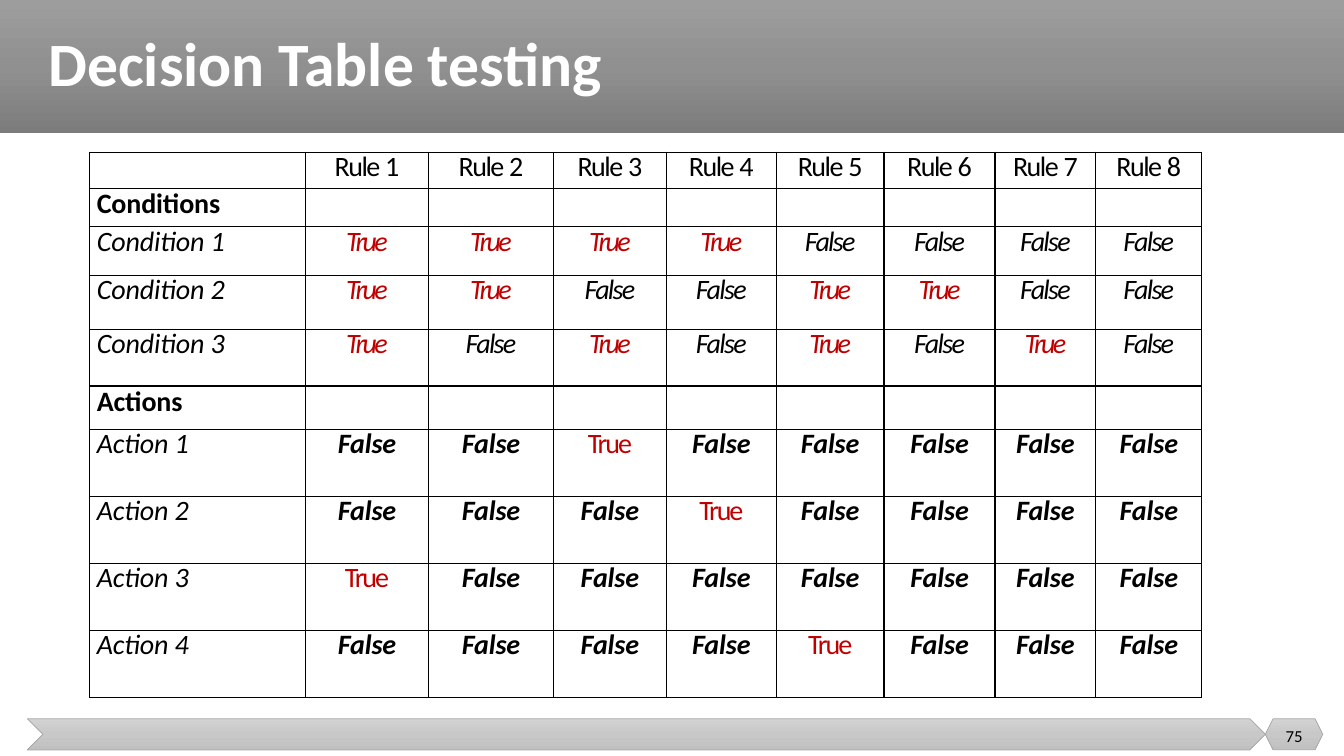
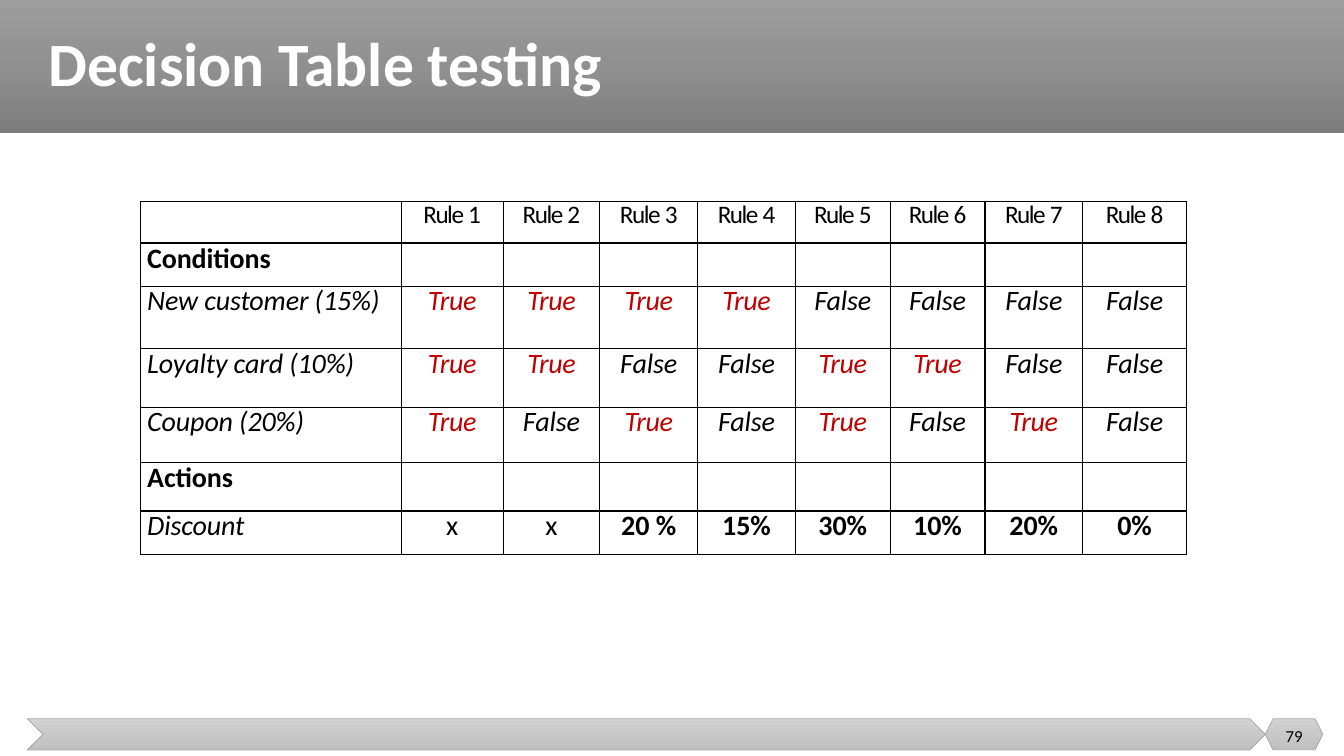
from copy import deepcopy
from itertools import product

from lxml import etree
from pptx import Presentation
from pptx.dml.color import RGBColor
from pptx.enum.shapes import MSO_SHAPE
from pptx.enum.text import MSO_ANCHOR, PP_ALIGN
from pptx.oxml.ns import qn
from pptx.util import Inches, Pt

RECTANGLE, CHEVRON, HEXAGON = MSO_SHAPE.RECTANGLE, MSO_SHAPE.CHEVRON, MSO_SHAPE.HEXAGON
LEFT, CENTER = PP_ALIGN.LEFT, PP_ALIGN.CENTER
MIDDLE = MSO_ANCHOR.MIDDLE

FONT = "Calibri"
COLORS = {"text": "000000", "title": "FFFFFF", "true": "C00000",
          "border": "000000", "footer_line": "A5A5A5"}
HEADER_GRADIENT = ("9D9D9D", "909090", "7C7C7C")
FOOTER_GRADIENT = ("D2D2D2", "C8C8C8", "C0C0C0")

# Boxes: left, top, width, height in inches
HEADER_BOX = (0, 0, 13.33, 1.32)
TITLE_BOX = (0.38, 0, 12.74, 1.32)
FOOTER_BOX = (0.27, 7.13, 12.28, 0.31)
BADGE_BOX = (12.55, 7.13, 0.57, 0.31)
NUMBER_BOX = (12.55, 7.1, 0.57, 0.4)

# Every combination of three conditions, one row per condition
CONDITION_ROWS = list(zip(*product((True, False), repeat=3)))
RULE_COUNT = len(CONDITION_ROWS[0])


def inches(box):
    return [Inches(length) for length in box]


def add_text(frame, text, size=20, color="text", bold=False, italic=False,
             align=LEFT, leading=None, spacing=0):
    """Append a run to the first paragraph of a text frame."""
    paragraph = frame.paragraphs[0]
    paragraph.alignment = align
    if leading:
        paragraph.line_spacing = leading
    run = paragraph.add_run()
    run.text = text
    font = run.font
    font.name, font.size, font.bold, font.italic = FONT, Pt(size), bold, italic
    font.color.rgb = RGBColor.from_string(COLORS[color])
    if spacing:
        font._element.set("spc", str(round(spacing * 100)))


# Shared layout: bands and title position
def add_band(slide, preset, box, gradient, line=None):
    band = slide.shapes.add_shape(preset, *inches(box))
    band.shadow.inherit = False
    band.fill.gradient()
    band.fill.gradient_angle = 270
    stop_list = band.element.spPr.find(".//" + qn("a:gsLst"))
    stop_list.insert(1, deepcopy(stop_list[0]))
    for index, (stop, color) in enumerate(zip(band.fill.gradient_stops, gradient)):
        stop.position = index / 2
        stop.color.rgb = RGBColor.from_string(color)
    if line:
        band.line.color.rgb = RGBColor.from_string(COLORS[line])
        band.line.width = Pt(0.5)
    else:
        band.line.fill.background()
    return band


def dress_layout(layout, slide):
    """Draw the bands on a slide and move them to the back of its layout."""
    bands = [
        add_band(slide, RECTANGLE, HEADER_BOX, HEADER_GRADIENT),
        add_band(slide, CHEVRON, FOOTER_BOX, FOOTER_GRADIENT, "footer_line"),
        add_band(slide, HEXAGON, BADGE_BOX, FOOTER_GRADIENT, "footer_line"),
    ]
    for index, band in enumerate(bands):
        band.element.nvSpPr.cNvPr.set("id", str(100 + index))
        layout.shapes.element.insert(2 + index, band.element)
    title = layout.placeholders[0]
    title.left, title.top, title.width, title.height = inches(TITLE_BOX)


def add_heading(slide, title, number):
    title_frame = slide.shapes.title.text_frame
    title_frame.vertical_anchor = MIDDLE
    add_text(title_frame, title, size=44, color="title", bold=True, leading=0.9)
    number_frame = slide.shapes.add_textbox(*inches(NUMBER_BOX)).text_frame
    number_frame.word_wrap = True
    number_frame.vertical_anchor = MIDDLE
    add_text(number_frame, str(number), size=12, align=CENTER)


# Decision table
def format_cell(cell):
    cell.margin_left = cell.margin_right = cell.margin_top = cell.margin_bottom = 0
    properties = cell._tc.get_or_add_tcPr()
    for side in ("lnL", "lnR", "lnT", "lnB"):
        border = etree.SubElement(properties, qn("a:" + side), w=str(Pt(1)))
        fill = etree.SubElement(border, qn("a:solidFill"))
        etree.SubElement(fill, qn("a:srgbClr"), val=COLORS["border"])
    cell.fill.background()


def add_label(cell, text, section=False):
    cell.margin_left = Inches(0.07)
    add_text(cell.text_frame, text, bold=section, italic=not section,
             leading=Pt(23.4 if section else 22.8), spacing=-0.1)


def add_value(cell, text, **style):
    add_text(cell.text_frame, text, align=CENTER, leading=Pt(22.8), **style)


def add_decision_table(slide, box, widths, heights, head_size, head_leading,
                       conditions, condition_spacing, actions):
    """actions maps each label to its (text, style) pairs, one per rule."""
    table = slide.shapes.add_table(len(heights), len(widths), *inches(box)).table
    table.first_row = table.horz_banding = False
    for column, width in zip(table.columns, widths):
        column.width = Inches(width)
    for row, height in zip(table.rows, heights):
        row.height = Inches(height)
    for cell in table.iter_cells():
        format_cell(cell)

    # Rule headings
    for rule in range(1, RULE_COUNT + 1):
        head = table.cell(0, rule).text_frame
        for text, spacing in (("Rule ", -1.1), (str(rule), -0.3)):
            add_text(head, text, size=head_size, align=CENTER,
                     leading=Pt(head_leading), spacing=spacing)

    # Conditions
    add_label(table.cell(1, 0), "Conditions", section=True)
    for row, (label, truths) in enumerate(zip(conditions, CONDITION_ROWS), 2):
        add_label(table.cell(row, 0), label)
        for rule, truth in enumerate(truths, 1):
            add_value(table.cell(row, rule), str(truth), italic=True,
                      color="true" if truth else "text",
                      spacing=condition_spacing[truth])

    # Actions
    action_row = 2 + len(conditions)
    add_label(table.cell(action_row, 0), "Actions", section=True)
    for row, (label, outcomes) in enumerate(actions.items(), action_row + 1):
        add_label(table.cell(row, 0), label)
        for rule, (text, style) in enumerate(outcomes, 1):
            add_value(table.cell(row, rule), text, **style)


def triggered_by(true_rule):
    """Outcomes of an action that only one rule triggers."""
    hit = ("True", {"color": "true", "spacing": -1.5})
    miss = ("False", {"bold": True, "italic": True, "spacing": -0.1})
    return [hit if rule == true_rule else miss for rule in range(1, RULE_COUNT + 1)]


def add_general_slide(slide):
    add_heading(slide, "Decision Table testing", 75)
    add_decision_table(
        slide, (0.89, 1.51, 11.03, 5.4),
        widths=(2.14, 1.22, 1.24, 1.12, 1.09, 1.07, 1.1, 1, 1.05),
        heights=(0.36, 0.38, 0.48, 0.54, 0.56, 0.43) + (0.665,) * 4,
        head_size=20, head_leading=22.8,
        conditions=[f"Condition {number}" for number in (1, 2, 3)],
        condition_spacing={True: -1.9, False: -1.25},
        actions={f"Action {number}": triggered_by(rule)
                 for number, rule in enumerate((3, 4, 1, 5), 1)})


def add_discount_slide(slide):
    add_heading(slide, "Decision Table testing", 79)
    discounts = ("x", "x", "20 %", "15%", "30%", "10%", "20%", "0%")
    add_decision_table(
        slide, (1.39, 2, 10.38, 3.5),
        widths=(2.59, 1.01, 0.96, 0.97, 0.97, 0.94, 0.94, 0.97, 1.03),
        heights=(0.41, 0.43, 0.62, 0.58, 0.55, 0.48, 0.43),
        head_size=18, head_leading=20.4,
        conditions=["New customer (15%)", "Loyalty card (10%)", "Coupon (20%)"],
        condition_spacing={True: -0.3, False: -0.1},
        actions={"Discount": [(text, {"bold": text != "x"}) for text in discounts]})


def main():
    presentation = Presentation()
    presentation.slide_width, presentation.slide_height = Inches(13.33), Inches(7.5)
    layout = presentation.slide_layouts[5]
    general, discount = (presentation.slides.add_slide(layout) for _ in range(2))
    dress_layout(layout, general)
    add_general_slide(general)
    add_discount_slide(discount)
    presentation.save("out.pptx")


if __name__ == "__main__":
    main()
